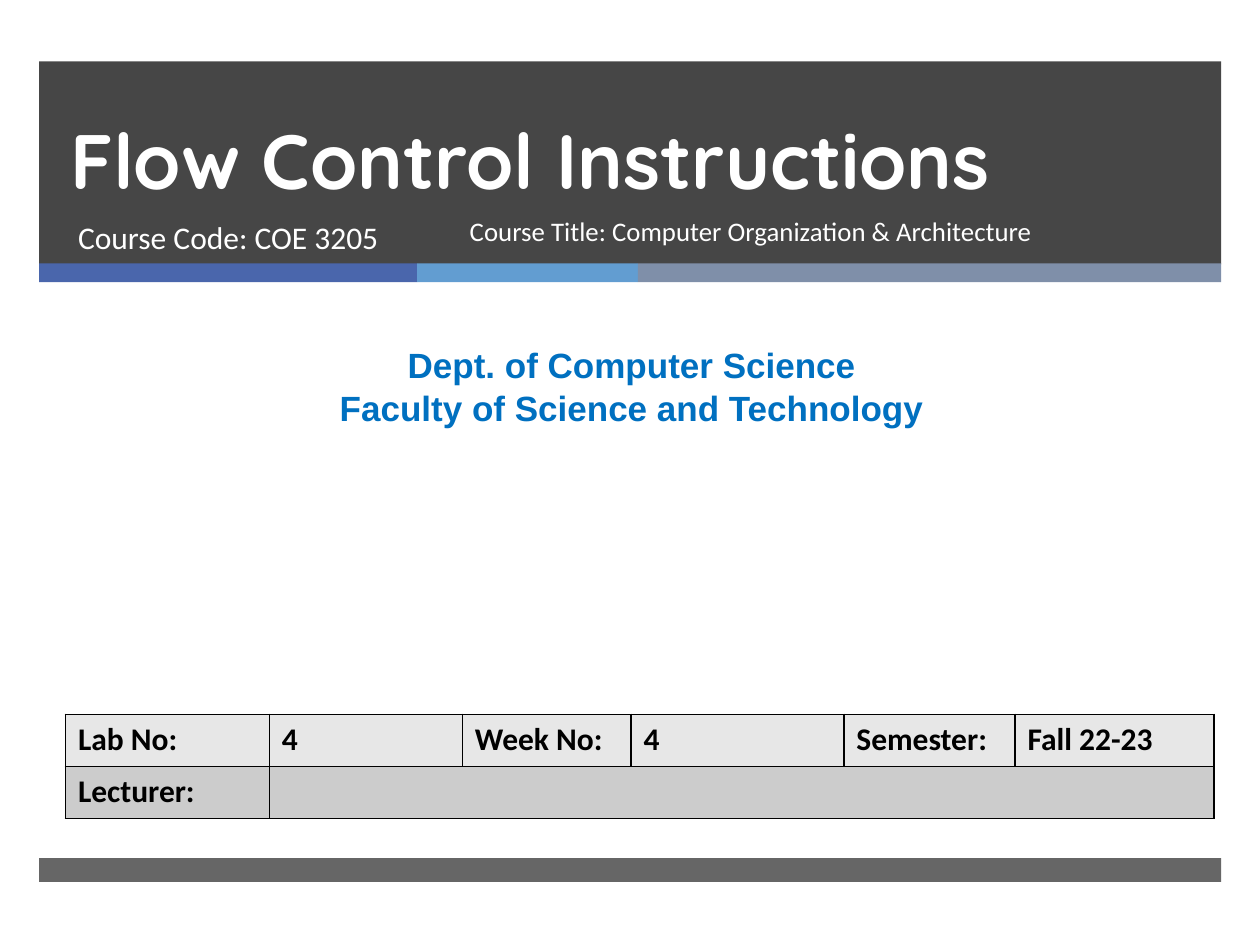
"""Build the title slide of a lab on flow control instructions."""
from lxml.etree import SubElement
from pptx import Presentation
from pptx.dml.color import RGBColor as RGB
from pptx.enum.shapes import MSO_SHAPE as SHAPE
from pptx.enum.text import MSO_ANCHOR as ANCHOR, MSO_AUTO_SIZE as FIT, PP_ALIGN as ALIGN
from pptx.oxml.ns import qn
from pptx.util import Cm, Pt

COLORS = {
    "dark": "262626", "blue": "4A66AC", "sky": "629DD1", "slate": "7F8FA9",
    "white": "FFFFFF", "black": "000000", "dept": "0070C0",
    "row1": "E7E7E7", "row2": "CCCCCC",
}


def style(p, font, size, color, bold=False, align=ALIGN.LEFT):
    p.alignment = align
    p.space_before = Pt(0)
    p.font.name, p.font.size, p.font.bold = font, Pt(size), bold
    p.font.color.rgb = RGB.from_string(COLORS[color])


def place(sp, left, top, width, height, anchor=ANCHOR.TOP):
    sp.left, sp.top, sp.width, sp.height = Cm(left), Cm(top), Cm(width), Cm(height)
    tf = sp.text_frame
    tf.word_wrap, tf.auto_size, tf.vertical_anchor = True, FIT.NONE, anchor
    return tf


prs = Presentation()
prs.slide_width, prs.slide_height = Cm(25.4), Cm(19.05)
s = prs.slides.add_slide(prs.slide_layouts[0])
title, subtitle = s.placeholders

bars = [
    (0.79, 1.24, 23.83, 4.09, "dark", 85),
    (0.79, 5.31, 7.62, 0.38, "blue", 100),
    (8.41, 5.31, 4.45, 0.38, "sky", 100),
    (12.86, 5.31, 11.76, 0.38, "slate", 100),
    (0.79, 17.3, 23.83, 0.48, "dark", 70),
]
for left, top, width, height, color, opacity in bars:
    sp = s.shapes.add_shape(SHAPE.RECTANGLE, Cm(left), Cm(top), Cm(width), Cm(height))
    sp.shadow.inherit = False
    sp.line.fill.background()
    sp.fill.solid()
    sp.fill.fore_color.rgb = RGB.from_string(COLORS[color])
    if opacity < 100:
        clr = sp._element.spPr.find(qn("a:solidFill"))[0]
        SubElement(clr, qn("a:alpha"), val=str(opacity * 1000))

for sp in (title, subtitle):
    s.shapes._spTree.append(sp._element)

tf = place(title, 1.17, 1.24, 21.69, 3.02, ANCHOR.BOTTOM)
tf.text = "Flow Control Instructions"
style(tf.paragraphs[0], "Quicksand", 44, "white", True)
tf.paragraphs[0].line_spacing = Pt(46)

tf = place(subtitle, 1.32, 4.27, 7.75, 1.35)
tf.text = "Course Code: COE 3205"
style(tf.paragraphs[0], "Calibri", 18, "white")

tf = place(s.shapes.add_textbox(0, 0, 0, 0), 0.2, 6.81, 25.07, 1.96)
tf.text = "Dept. of Computer Science\nFaculty of Science and Technology"
for p in tf.paragraphs:
    style(p, "Arial", 20, "dept", True, ALIGN.CENTER)

rows = [
    ["Lab No:", "4", "Week No:", "4", "Semester:", "Fall 22-23"],
    ["Lecturer:", "", "", "", "", ""],
]
widths = [4.11, 3.89, 3.4, 4.29, 3.45, 4.01]
table = s.shapes.add_table(2, 6, Cm(1.32), Cm(14.4), Cm(sum(widths)), Cm(2.1)).table
for column, width in zip(table.columns, widths):
    column.width = Cm(width)
for i, (texts, fill) in enumerate(zip(rows, ("row1", "row2"))):
    table.rows[i].height = Cm(1.05)
    for j, text in enumerate(texts):
        cell = table.cell(i, j)
        cell.text = text
        style(cell.text_frame.paragraphs[0], "Calibri", 18, "black", True)
        tcPr = cell._tc.get_or_add_tcPr()
        for side in ("lnL", "lnR", "lnT", "lnB"):
            ln = SubElement(tcPr, qn(f"a:{side}"), w=str(Pt(1)))
            SubElement(SubElement(ln, qn("a:solidFill")), qn("a:srgbClr"), val=COLORS["black"])
        cell.fill.solid()
        cell.fill.fore_color.rgb = RGB.from_string(COLORS[fill])
table.cell(1, 1).merge(table.cell(1, 5))

tf = place(s.shapes.add_textbox(0, 0, 0, 0), 9.22, 4.27, 11.91, 1.35)
tf.text = "Course Title: Computer Organization & Architecture"
style(tf.paragraphs[0], "Calibri", 15.3, "white")
tf.paragraphs[0].line_spacing = 0.9

prs.save("out.pptx")
